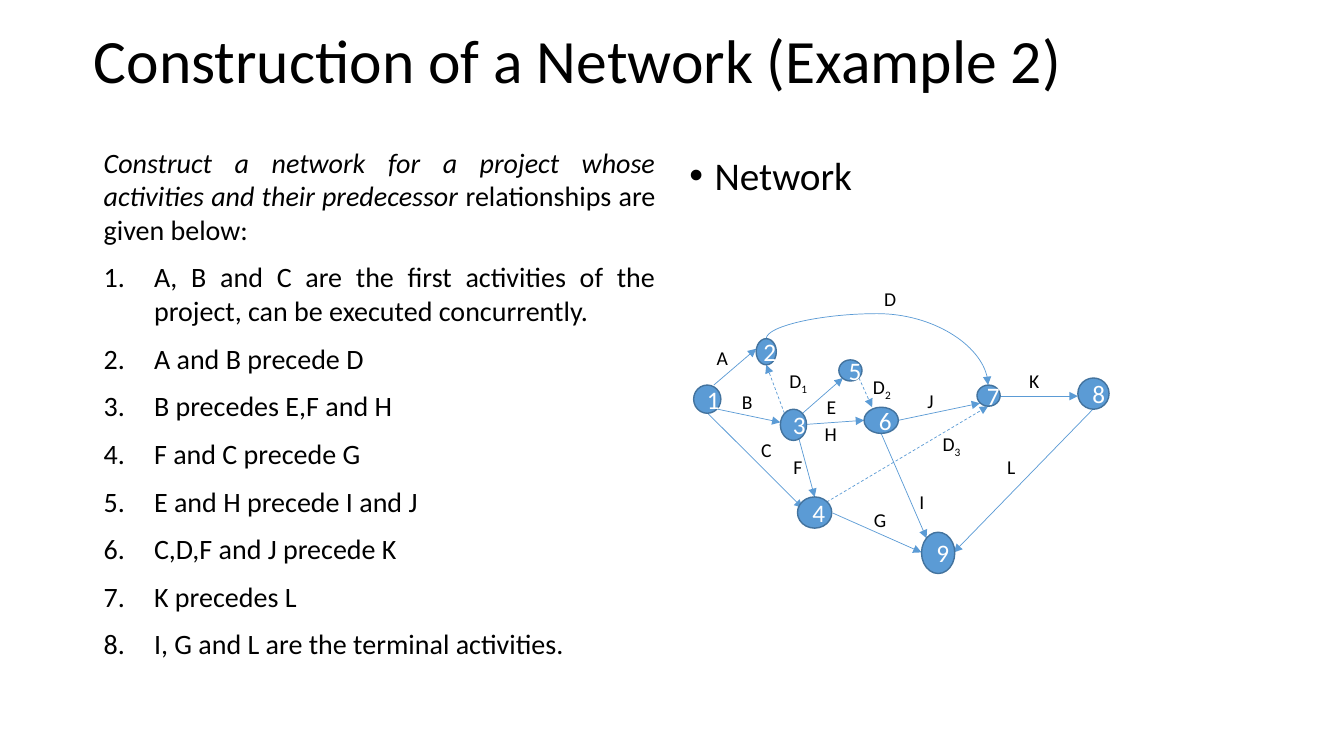
"""Build a slide on constructing a project network with its activity diagram."""
from lxml.etree import SubElement
from pptx import Presentation
from pptx.dml.color import RGBColor
from pptx.enum.dml import MSO_LINE
from pptx.enum.shapes import MSO_CONNECTOR, MSO_SHAPE
from pptx.enum.text import MSO_ANCHOR, MSO_AUTO_SIZE, PP_ALIGN
from pptx.oxml.ns import qn
from pptx.util import Pt

PX = 9144
FONT = "Calibri"
BLACK = RGBColor(0x00, 0x00, 0x00)
WHITE = RGBColor(0xFF, 0xFF, 0xFF)
BLUE = RGBColor(0x5B, 0x9B, 0xD5)
DARK_BLUE = RGBColor(0x43, 0x73, 0x9E)

STATEMENTS = [
    "A, B and C are the first activities of the project, can be executed concurrently.",
    "A and B precede D",
    "B precedes E,F and H",
    "F and C precede G",
    "E and H precede I and J",
    "C,D,F and J precede K",
    "K precedes L",
    "I, G and L are the terminal activities.",
]

NODES = [
    ("1", 688, 382, 27, 28),
    ("2", 750, 336, 20, 26),
    ("3", 774, 406, 26, 31),
    ("4", 791, 493, 34, 31),
    ("5", 832, 357, 23, 21),
    ("6", 857, 404, 34, 26),
    ("7", 969, 382, 23, 21),
    ("8", 1069, 375, 31, 31),
    ("9", 914, 528, 33, 41),
]

ACTIVITIES = [
    (708, 382, 750, 346),
    (712, 406, 774, 419),
    (702, 410, 796, 504),
    (796, 410, 836, 375),
    (791, 430, 808, 493),
    (826, 509, 914, 548),
    (800, 421, 857, 417),
    (874, 430, 919, 534),
    (891, 417, 972, 400),
    (992, 393, 1069, 393),
    (1084, 406, 946, 548),
]

DUMMIES = [
    (778, 410, 760, 362),
    (852, 375, 865, 404),
    (820, 498, 980, 403),
]

LABELS = [
    ("A", "", 701, 338, 33),
    ("B", "", 726, 382, 20),
    ("C", "", 745, 430, 54),
    ("D", "", 867, 280, 47),
    ("E", "", 810, 387, 29),
    ("F", "", 777, 446, 37),
    ("G", "", 857, 499, 33),
    ("H", "", 808, 414, 31),
    ("I", "", 902, 481, 47),
    ("J", "", 910, 381, 51),
    ("K", "", 1011, 361, 47),
    ("L", "", 989, 446, 47),
    ("D", "1", 773, 361, 44),
    ("D", "2", 856, 367, 44),
    ("D", "3", 925, 424, 47),
]


def to_emu(*lengths):
    """Turn px lengths into EMU."""
    return [length * PX for length in lengths]


def format_runs(paragraph, size, color=BLACK):
    """Give every run of a paragraph its font."""
    for run in paragraph.runs:
        run.font.name = FONT
        run.font.size = Pt(size)
        run.font.color.rgb = color


def add_bullet(paragraph, tag, attribute, value, indent):
    """Give a paragraph a hanging bullet or number."""
    properties = paragraph._p.get_or_add_pPr()
    properties.set("marL", str(indent * PX))
    properties.set("indent", str(-indent * PX))
    SubElement(properties, qn("a:buFont")).set("typeface", "Arial" if tag == "a:buChar" else "+mj-lt")
    SubElement(properties, qn(tag)).set(attribute, value)


def add_text_frame(slide, left, top, width, height):
    """Add a wrapping text box and return its text frame."""
    text_frame = slide.shapes.add_textbox(*to_emu(left, top, width, height)).text_frame
    text_frame.word_wrap = True
    return text_frame


def add_title(slide, text):
    """Fill and place the title placeholder."""
    title = slide.shapes.title
    title.left, title.top, title.width, title.height = to_emu(83, 11, 1040, 105)
    title.text_frame.text = text
    title.text_frame.auto_size = MSO_AUTO_SIZE.NONE
    title.text_frame.vertical_anchor = MSO_ANCHOR.MIDDLE
    paragraph = title.text_frame.paragraphs[0]
    paragraph.alignment = PP_ALIGN.LEFT
    paragraph.line_spacing = 0.9
    format_runs(paragraph, 44)


def add_problem(slide):
    """Add the task and its numbered precedence statements."""
    text_frame = add_text_frame(slide, 93, 139, 567, 555)
    task = text_frame.paragraphs[0]
    task.text = "Construct a network for a project whose activities and their predecessor "
    task.runs[0].font.italic = True
    task.add_run().text = "relationships are given below:"
    for statement in STATEMENTS:
        paragraph = text_frame.add_paragraph()
        paragraph.text = statement
        add_bullet(paragraph, "a:buAutoNum", "type", "arabicPeriod", 50)
        paragraph.space_before = Pt(10)
    for paragraph in text_frame.paragraphs:
        paragraph.alignment = PP_ALIGN.JUSTIFY
        format_runs(paragraph, 20)


def add_heading(slide, text):
    """Add the bulleted heading over the diagram."""
    paragraph = add_text_frame(slide, 674, 150, 567, 476).paragraphs[0]
    paragraph.text = text
    add_bullet(paragraph, "a:buChar", "char", "•", 25)
    paragraph.line_spacing = 0.9
    format_runs(paragraph, 28)


def add_arrow(slide, ends, kind=MSO_CONNECTOR.STRAIGHT, dashed=False):
    """Add a thin connector with an arrowhead at its end."""
    connector = slide.shapes.add_connector(kind, *to_emu(*ends))
    connector.line.color.rgb = BLUE
    connector.line.width = Pt(0.5)
    if dashed:
        connector.line.dash_style = MSO_LINE.DASH
    SubElement(connector.line._get_or_add_ln(), qn("a:tailEnd")).set("type", "triangle")
    SubElement(connector._element.spPr, qn("a:effectLst"))
    return connector


def add_arc(slide):
    """Add the curved activity from node 2 to node 7."""
    arc = add_arrow(slide, (847, 249, 893, 469), MSO_CONNECTOR.CURVE)
    properties = arc._element.spPr
    frame = properties.find(qn("a:xfrm"))
    frame.set("rot", "16200000")
    frame.set("flipH", "1")
    guides = properties.find(qn("a:prstGeom")).get_or_add_avLst()
    guide = SubElement(guides, qn("a:gd"))
    guide.set("name", "adj1")
    guide.set("fmla", "val -54000")


def add_node(slide, number, left, top, width, height):
    """Add a numbered event ellipse."""
    node = slide.shapes.add_shape(MSO_SHAPE.OVAL, *to_emu(left, top, width, height))
    node.shadow.inherit = False
    node.fill.solid()
    node.fill.fore_color.rgb = BLUE
    node.line.color.rgb = DARK_BLUE
    node.line.width = Pt(1)
    node.text_frame.text = number
    node.text_frame.vertical_anchor = MSO_ANCHOR.MIDDLE
    paragraph = node.text_frame.paragraphs[0]
    paragraph.alignment = PP_ALIGN.CENTER
    format_runs(paragraph, 18, WHITE)


def add_label(slide, letter, subscript, left, top, width):
    """Add an activity letter with an optional subscript."""
    text_frame = add_text_frame(slide, left, top, width, 34)
    text_frame.auto_size = MSO_AUTO_SIZE.SHAPE_TO_FIT_TEXT
    paragraph = text_frame.paragraphs[0]
    paragraph.text = letter
    if subscript:
        run = paragraph.add_run()
        run.text = subscript
        run.font._element.set("baseline", "-25000")
    format_runs(paragraph, 14)


def main():
    """Build and save the slide."""
    presentation = Presentation()
    presentation.slide_width, presentation.slide_height = to_emu(1333, 750)
    slide = presentation.slides.add_slide(presentation.slide_layouts[5])
    add_title(slide, "Construction of a Network (Example 2)")
    add_problem(slide)
    add_heading(slide, "Network")
    for ends in ACTIVITIES:
        add_arrow(slide, ends)
    for ends in DUMMIES:
        add_arrow(slide, ends, dashed=True)
    add_arc(slide)
    for node in NODES:
        add_node(slide, *node)
    for label in LABELS:
        add_label(slide, *label)
    presentation.save("out.pptx")


if __name__ == "__main__":
    main()
